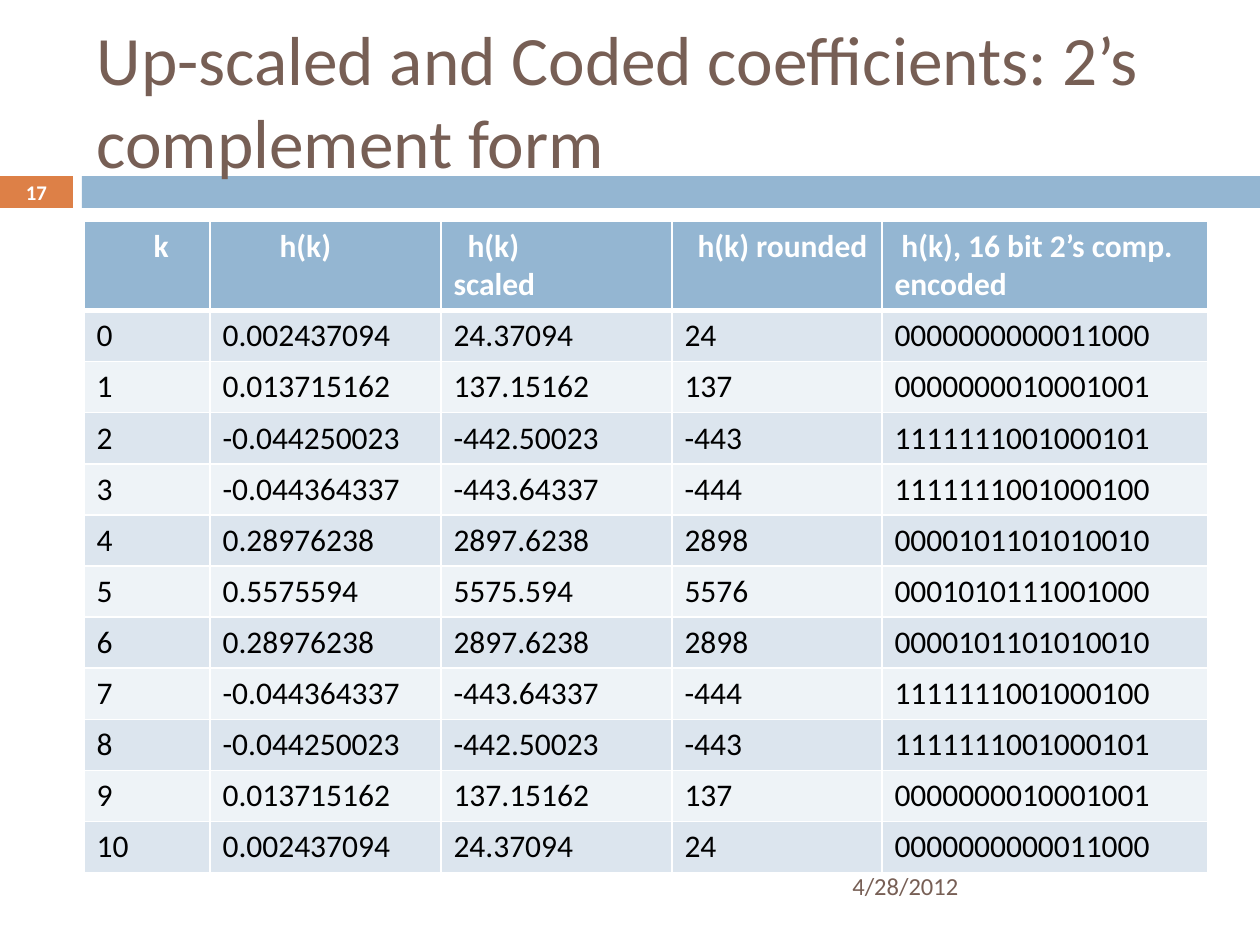
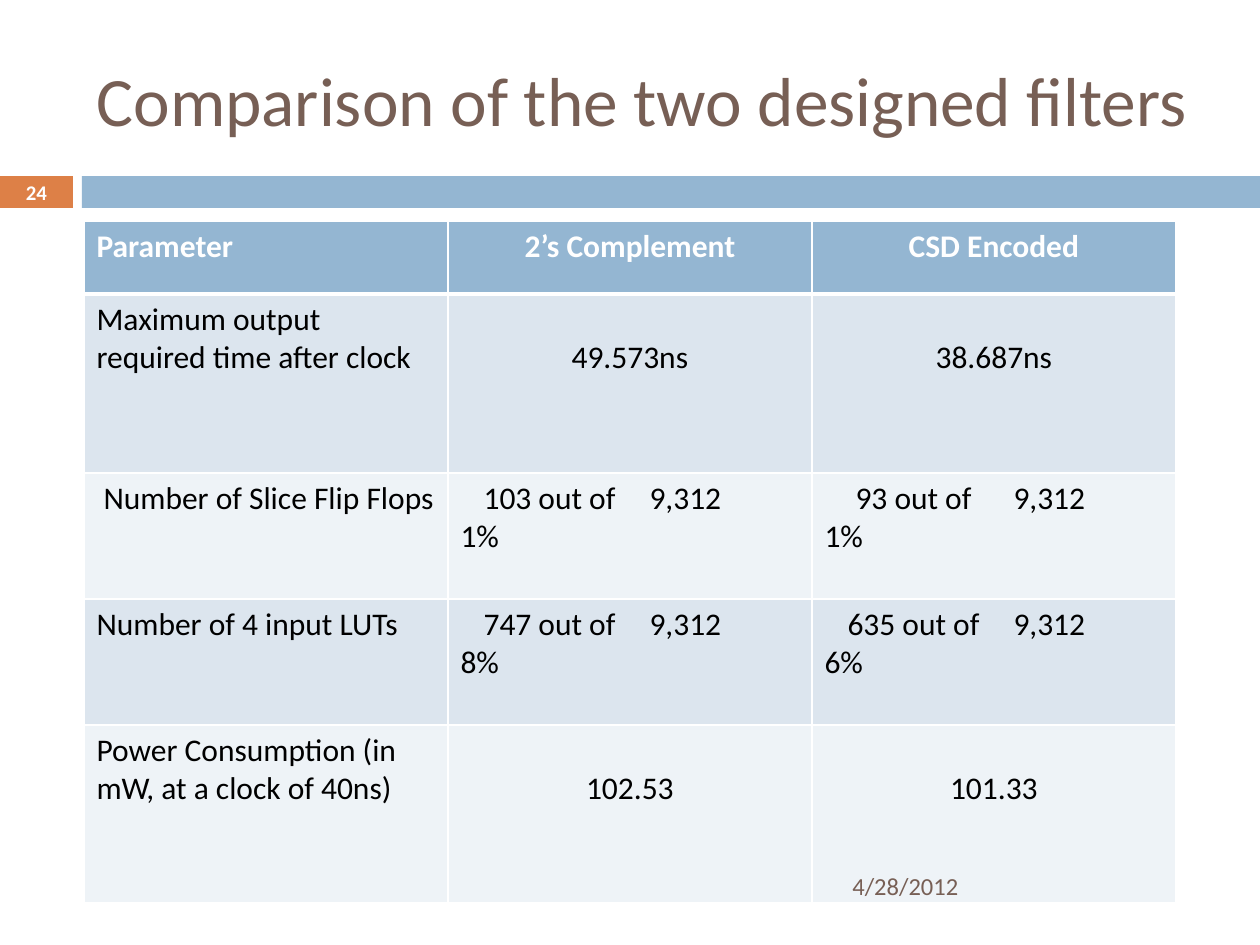
from lxml import etree
from pptx import Presentation
from pptx.dml.color import RGBColor
from pptx.enum.shapes import MSO_SHAPE
from pptx.enum.text import MSO_ANCHOR, MSO_AUTO_SIZE, PP_ALIGN
from pptx.oxml.ns import qn
from pptx.util import Emu, Pt

RECTANGLE = MSO_SHAPE.RECTANGLE
MIDDLE, TOP = MSO_ANCHOR.MIDDLE, MSO_ANCHOR.TOP
LEFT, CENTER = PP_ALIGN.LEFT, PP_ALIGN.CENTER
NO_AUTOFIT = MSO_AUTO_SIZE.NONE

PX_PER_INCH = 126
PAGE_SIZE = (1260, 945)
TITLE_BOX = (84, 31, 1124, 136)
DATE_BOX = (840, 861, 368, 50)
NUMBER_BOX = (0, 175, 73, 34)
BANDS = [((0, 176, 73, 32), "DD8047"), ((82, 176, 1178, 32), "94B6D2")]
TABLE_LEFT, TABLE_TOP = 84, 221

HEADER_FILL, ROW_FILLS = "94B6D2", ("DCE5EE", "EEF3F7")
BORDER = "FFFFFF"
TITLE_FONT = {"size": Pt(39.6), "color": "775F55"}
DATE_FONT = {"size": Pt(14), "color": "775F55"}
NUMBER_FONT = {"size": Pt(11.9), "color": "FFFFFF", "bold": True}
HEADER_FONT = {"size": Pt(18), "color": "FFFFFF", "bold": True}
CELL_FONT = {"size": Pt(18), "color": "000000", "bold": False}

# Table cells are a text, or a text with a dict of layout options
COEFFICIENT_HEADER = [
    ("k", {"indent": 57}),
    ("h(k)", {"indent": 57}),
    ("h(k)\tscaled", {"indent": 14, "tabs": (87,)}),
    ("h(k) rounded", {"indent": 13}),
    ("h(k), 16 bit 2’s comp. encoded", {"indent": 7}),
]
# The filter is symmetric, so the first six taps are mirrored
HALF_TAPS = [
    ("0.002437094", "24.37094", "24", "0000000000011000"),
    ("0.013715162", "137.15162", "137", "0000000010001001"),
    ("-0.044250023", "-442.50023", "-443", "1111111001000101"),
    ("-0.044364337", "-443.64337", "-444", "1111111001000100"),
    ("0.28976238", "2897.6238", "2898", "0000101101010010"),
    ("0.5575594", "5575.594", "5576", "0001010111001000"),
]
CENTERED = {"align": CENTER}
LOWERED = {"align": CENTER, "margin_top": 45}
USAGE = {"indent": 23, "tabs": (177, 277)}
SHORT_USAGE = {"indent": 31, "tabs": (168, 269)}
COMPARISON_ROWS = [
    ["Parameter", ("2’s Complement", CENTERED), ("CSD Encoded", CENTERED)],
    ["Maximum output required time after clock",
     ("49.573ns", LOWERED), ("38.687ns", LOWERED)],
    [("Number of Slice Flip Flops", {"indent": 7}),
     ("103 out of\t9,312\t1%", USAGE), ("93 out of\t9,312\t1%", SHORT_USAGE)],
    ["Number of 4 input LUTs",
     ("747 out of\t9,312\t8%", USAGE), ("635 out of\t9,312\t6%", USAGE)],
    ["Power Consumption (in mW, at a clock of 40ns)",
     ("102.53", LOWERED), ("101.33", LOWERED)],
]


def px(length):
    return Emu(round(length * 914400 / PX_PER_INCH))


def rgb(color):
    return RGBColor.from_string(color)


def place(shape, box):
    for name, length in zip(("left", "top", "width", "height"), box):
        setattr(shape, name, px(length))


def write(frame, text, font, align=LEFT):
    para = frame.paragraphs[0]
    para.alignment = align
    span = para.add_run()
    span.text = text
    span.font.name = "Calibri"
    for name, value in font.items():
        if name == "color":
            span.font.color.rgb = rgb(value)
        else:
            setattr(span.font, name, value)
    return para


def set_frame(frame):
    for name, value in {"word_wrap": True, "auto_size": NO_AUTOFIT,
                        "vertical_anchor": MIDDLE}.items():
        setattr(frame, name, value)


def add_label(page, box, text, font, align=LEFT):
    label = page.shapes.add_textbox(*map(px, box))
    set_frame(label.text_frame)
    write(label.text_frame, text, font, align)


def add_bands(page):
    """Draw the bands and move them to the layout shared by all pages."""
    layout_tree = page.slide_layout.shapes.element
    for number, (box, color) in enumerate(BANDS):
        band = page.shapes.add_shape(RECTANGLE, *map(px, box))
        band.shadow.inherit = False
        band.fill.solid()
        band.fill.fore_color.rgb = rgb(color)
        band.line.fill.background()
        band.element.nvSpPr.cNvPr.set("id", str(100 + number))
        layout_tree.append(band.element)


def add_title(page, text):
    title = page.shapes.title
    place(title, TITLE_BOX)
    set_frame(title.text_frame)
    write(title.text_frame, text, TITLE_FONT)


def add_footer(page, number):
    add_label(page, DATE_BOX, "4/28/2012", DATE_FONT)
    add_label(page, NUMBER_BOX, number, NUMBER_FONT, CENTER)


def set_borders(cell, widths):
    properties = cell._tc.get_or_add_tcPr()
    for side in ("L", "R", "T", "B"):
        line = etree.SubElement(properties, qn(f"a:ln{side}"),
                                w=str(Pt(widths.get(side, 1))))
        fill = etree.SubElement(line, qn("a:solidFill"))
        etree.SubElement(fill, qn("a:srgbClr"), val=BORDER)


def set_tabs(para, indent, tabs):
    properties = para._p.get_or_add_pPr()
    properties.set("marL", "0")
    properties.set("indent", str(px(indent)))
    if tabs:
        stops = etree.SubElement(properties, qn("a:tabLst"))
        for stop in tabs:
            etree.SubElement(stops, qn("a:tab"), pos=str(px(stop)), algn="l")


def fill_cell(cell, content, row):
    text, options = (content, {}) if isinstance(content, str) else content
    set_borders(cell, {0: {"B": 3}, 1: {"T": 3}}.get(row, {}))
    cell.fill.solid()
    cell.fill.fore_color.rgb = rgb(ROW_FILLS[(row - 1) % 2] if row else HEADER_FILL)
    cell.vertical_anchor = TOP
    if "margin_top" in options:
        cell.margin_top = px(options["margin_top"])
    para = write(cell.text_frame, text, CELL_FONT if row else HEADER_FONT,
                 options.get("align", LEFT))
    if "indent" in options:
        set_tabs(para, options["indent"], options.get("tabs", ()))


def add_grid(page, left, top, widths, heights, rows):
    box = (left, top, sum(widths), sum(heights))
    table = page.shapes.add_table(len(rows), len(widths), *map(px, box)).table
    for column, width in zip(table.columns, widths):
        column.width = px(width)
    for line, height in zip(table.rows, heights):
        line.height = px(height)
    for row, contents in enumerate(rows):
        for column, content in enumerate(contents):
            fill_cell(table.cell(row, column), content, row)


def add_table_page(deck, layout, title, number, widths, heights, rows):
    page = deck.slides.add_slide(layout)
    add_title(page, title)
    add_grid(page, TABLE_LEFT, TABLE_TOP, widths, heights, rows)
    add_footer(page, number)
    return page


def main():
    deck = Presentation()
    deck.slide_width, deck.slide_height = map(px, PAGE_SIZE)
    layout = deck.slide_layouts.get_by_name("Title Only")

    # Coefficient table
    taps = HALF_TAPS + HALF_TAPS[-2::-1]
    tap_rows = [(str(index), *tap) for index, tap in enumerate(taps)]
    page = add_table_page(
        deck, layout, "Up-scaled and Coded coefficients: 2’s complement form", "17",
        (126, 231, 231, 210, 326), [89] + [51] * len(taps),
        [COEFFICIENT_HEADER] + tap_rows)
    add_bands(page)

    # Filter comparison
    add_table_page(
        deck, layout, "Comparison of the two designed filters", "24",
        [364] * 3, (73, 179, 126, 126, 178), COMPARISON_ROWS)

    deck.save("out.pptx")


if __name__ == "__main__":
    main()
